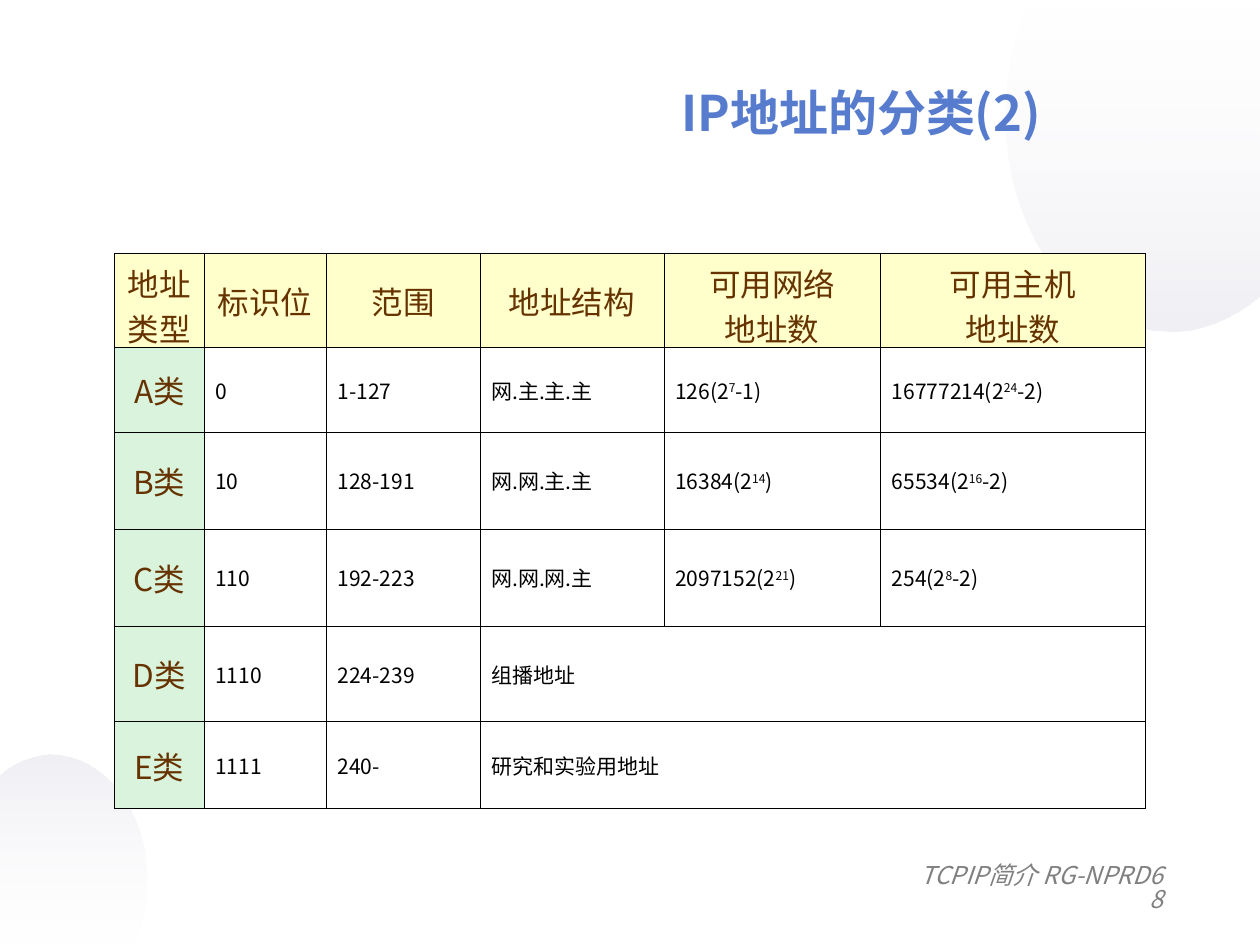
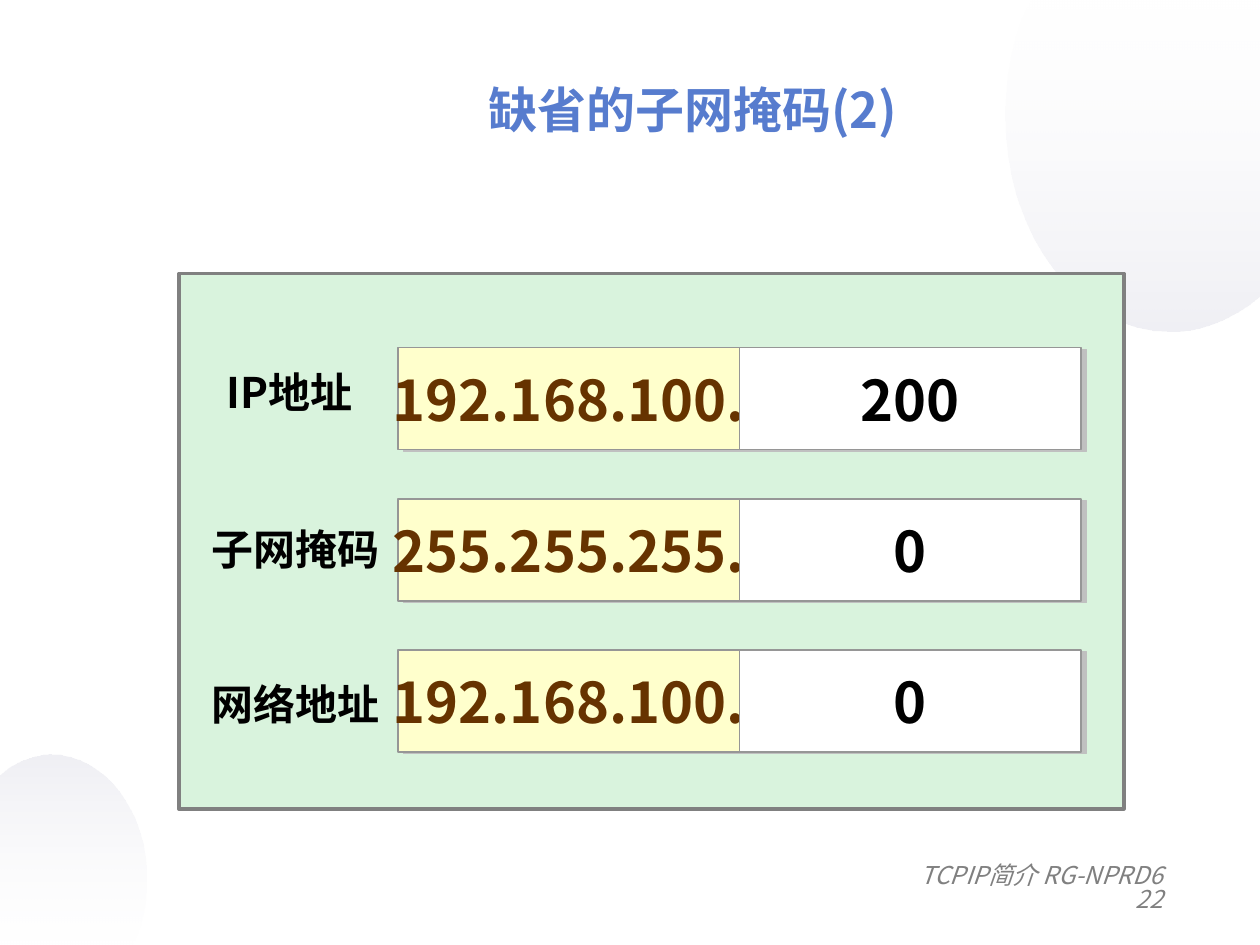
from pptx import Presentation
from pptx.dml.color import RGBColor
from pptx.enum.shapes import MSO_SHAPE
from pptx.enum.text import MSO_ANCHOR, PP_ALIGN
from pptx.oxml import parse_xml
from pptx.oxml.ns import nsdecls, qn
from pptx.util import Inches, Pt
from lxml import etree

RECTANGLE = MSO_SHAPE.RECTANGLE
MIDDLE, TOP = MSO_ANCHOR.MIDDLE, MSO_ANCHOR.TOP
LEFT, CENTER, RIGHT = PP_ALIGN.LEFT, PP_ALIGN.CENTER, PP_ALIGN.RIGHT

FONT = "Noto Sans CJK SC"
COLORS = {
    "title": "577CCE", "footer": "808080", "brown": "663300", "black": "000000",
    "white": "FFFFFF", "cream": "FFFFCC", "mint": "D9F3DD", "edge": "969696",
    "shadow": "C0C0C0", "haze": "BEBED2",
}

TOP_BUBBLE = [
    (8.19, 0), (10, 0), (10, 2.34), (9.9, 2.42),
    (9.71, 2.55, 9.5, 2.63, 9.28, 2.63),
    (8.56, 2.63, 7.98, 1.87, 7.98, 0.92),
    (7.98, 0.63, 8.03, 0.35, 8.13, 0.11),
]
BOTTOM_BUBBLE = [
    (1.04, 7.5), (0, 7.5), (0, 6.16), (0.06, 6.11),
    (0.16, 6.04, 0.29, 5.99, 0.41, 5.99),
    (0.82, 5.99, 1.16, 6.43, 1.16, 6.97),
    (1.16, 7.14, 1.13, 7.3, 1.07, 7.44),
]

COLUMN_WIDTHS = [0.71, 0.97, 1.22, 1.46, 1.72, 2.1]
ROW_HEIGHTS = [0.75, 0.67, 0.77, 0.77, 0.76, 0.69]
ADDRESS_CLASSES = [
    ["地址\n类型", "标识位", "范围", "地址结构", "可用网络\n地址数", "可用主机\n地址数"],
    ["A类", "0", "1-127", "网.主.主.主", "126(2^7^-1)", "16777214(2^24^-2)"],
    ["B类", "10", "128-191", "网.网.主.主", "16384(2^14^)", "65534(2^16^-2)"],
    ["C类", "110", "192-223", "网.网.网.主", "2097152(2^21^)", "254(2^8^-2)"],
    ["D类", "1110", "224-239", "组播地址"],
    ["E类", "1111", "240-", "研究和实验用地址"],
]
MASK_ROWS = [
    ("192.168.100.", "200"),
    ("255.255.255.", "0"),
    ("192.168.100.", "0"),
]


def color(name):
    return RGBColor.from_string(COLORS[name])


def outline_points(steps, samples=16):
    points = []
    for step in steps:
        if len(step) == 2:
            points.append(step)
            continue
        controls = [points[-1], step[:2], step[2:4], step[4:]]
        for index in range(1, samples + 1):
            t = index / samples
            weights = [(1 - t) ** 3, 3 * t * (1 - t) ** 2, 3 * t * t * (1 - t), t ** 3]
            points.append(tuple(
                sum(weight * control[axis] for weight, control in zip(weights, controls))
                for axis in (0, 1)))
    return [(Inches(x), Inches(y)) for x, y in points]


class SlideWriter:
    def __init__(self):
        self.deck = Presentation()
        self.deck.slide_width = Inches(10)
        self.deck.slide_height = Inches(7.5)
        self.page = None

    def start_page(self, number):
        self.page = self.deck.slides.add_slide(self.deck.slide_layouts[6])
        self.bubble(TOP_BUBBLE, 90)
        self.bubble(BOTTOM_BUBBLE, 270)
        footer = self.text(f"TCPIP简介 RG-NPRD6\n{number}", 0.75, 6.82, 8.58, 0.5,
                           14, "footer", RIGHT, anchor=TOP, italic=True)
        for para in footer.text_frame.paragraphs:
            para.line_spacing = 0.82

    def bubble(self, steps, angle):
        points = outline_points(steps)
        builder = self.page.shapes.build_freeform(*points[0])
        builder.add_line_segments(points[1:], close=True)
        shape = builder.convert_to_shape()
        shape.shadow.inherit = False
        shape.line.fill.background()
        shape.fill.background()
        stops = "".join(
            f'<a:gs pos="{position}"><a:srgbClr val="{COLORS[name]}">'
            f'<a:alpha val="{alpha}"/></a:srgbClr></a:gs>'
            for position, name, alpha in ((0, "white", 10000), (100000, "haze", 24000)))
        gradient = parse_xml(
            f'<a:gradFill {nsdecls("a")} rotWithShape="1"><a:gsLst>{stops}</a:gsLst>'
            f'<a:lin ang="{angle * 60000}" scaled="0"/></a:gradFill>')
        properties = shape._element.spPr
        properties.replace(properties.find(qn("a:noFill")), gradient)

    def add_lines(self, frame, text, size, ink, align, bold=False, italic=False):
        for index, line in enumerate(text.split("\n")):
            para = frame.add_paragraph() if index else frame.paragraphs[0]
            para.alignment = align
            for part, words in enumerate(line.split("^")):
                span = para.add_run()
                span.text = words
                span.font.size = Pt(size)
                span.font.bold = bold
                span.font.italic = italic
                span.font.color.rgb = color(ink)
                span.font.name = FONT
                properties = span._r.get_or_add_rPr()
                etree.SubElement(properties, qn("a:ea")).set("typeface", FONT)
                if part % 2:
                    properties.set("baseline", "30000")

    def text(self, text, left, top, width, height, size, ink, align,
             anchor=MIDDLE, inset_right=0.1, bold=False, italic=False):
        box = self.page.shapes.add_textbox(
            Inches(left), Inches(top), Inches(width), Inches(height))
        frame = box.text_frame
        frame.word_wrap = True
        frame.vertical_anchor = anchor
        frame.margin_right = Inches(inset_right)
        self.add_lines(frame, text, size, ink, align, bold, italic)
        return box

    def title(self, text, left, top, width, height):
        self.text(text, left, top, width, height, 28, "title", CENTER, bold=True)

    def label(self, text, left, top, width, height, align=RIGHT, inset_right=0.4):
        self.text(text, left, top, width, height, 24, "black", align,
                  inset_right=inset_right, bold=True)

    def rectangle(self, left, top, width, height, fill, edge, weight):
        shape = self.page.shapes.add_shape(
            RECTANGLE, Inches(left), Inches(top), Inches(width), Inches(height))
        shape.shadow.inherit = False
        shape.fill.solid()
        shape.fill.fore_color.rgb = color(fill)
        shape.line.color.rgb = color(edge)
        shape.line.width = Pt(weight)
        return shape

    def address_part(self, text, left, top, width, height, fill, ink):
        shape = self.rectangle(left, top, width, height, fill, "edge", 0.75)
        shape._element.spPr.find(qn("a:effectLst")).append(parse_xml(
            f'<a:outerShdw {nsdecls("a")} dist="{Pt(3.2)}" dir="{18 * 60000}" '
            f'algn="ctr" rotWithShape="0"><a:srgbClr val="{COLORS["shadow"]}"/></a:outerShdw>'))
        frame = shape.text_frame
        frame.word_wrap = False
        frame.vertical_anchor = MIDDLE
        self.add_lines(frame, text, 32, ink, CENTER, bold=True)

    def cell_style(self, cell, fill):
        properties = cell._tc.get_or_add_tcPr()
        for side in ("lnL", "lnR", "lnT", "lnB"):
            properties.append(parse_xml(
                f'<a:{side} {nsdecls("a")} w="{Pt(0.45)}"><a:solidFill>'
                f'<a:srgbClr val="{COLORS["black"]}"/></a:solidFill></a:{side}>'))
        cell.fill.solid()
        cell.fill.fore_color.rgb = color(fill)
        cell.vertical_anchor = MIDDLE
        cell.margin_left = cell.margin_right = Inches(0.09)
        cell.margin_top = cell.margin_bottom = Inches(0.05)

    def table(self, rows, left, top, widths, heights):
        table = self.page.shapes.add_table(
            len(heights), len(widths), Inches(left), Inches(top),
            Inches(sum(widths)), Inches(sum(heights))).table
        table.first_row = table.horz_banding = False
        for column, width in zip(table.columns, widths):
            column.width = Inches(width)
        for row, height in zip(table.rows, heights):
            row.height = Inches(height)
        last = len(widths) - 1
        for row_index, texts in enumerate(rows):
            for column_index in range(len(widths)):
                cell = table.cell(row_index, column_index)
                heading = row_index == 0 or column_index == 0
                fill = "cream" if row_index == 0 else "mint" if heading else "white"
                self.cell_style(cell, fill)
                if column_index < len(texts):
                    style = (18, "brown", CENTER) if heading else (12, "black", LEFT)
                    self.add_lines(cell.text_frame, texts[column_index], *style)
            if len(texts) <= last:
                table.cell(row_index, len(texts) - 1).merge(table.cell(row_index, last))


def address_classes(writer):
    writer.start_page(8)
    writer.title("IP地址的分类(2)", 3.67, 0.61, 6.33, 0.56)
    writer.table(ADDRESS_CLASSES, 0.91, 2.01, COLUMN_WIDTHS, ROW_HEIGHTS)


def default_masks(writer):
    writer.start_page(22)
    writer.rectangle(1.42, 2.17, 7.5, 4.25, "mint", "footer", 2)
    part_width, part_height = 2.71, 0.81
    for index, (network, host) in enumerate(MASK_ROWS):
        top = 2.76 + 1.2 * index
        writer.address_part(network, 3.16, top, part_width, part_height, "cream", "brown")
        writer.address_part(host, 3.16 + part_width, top, part_width, part_height,
                            "white", "black")
    writer.label("IP地址", 1.7, 2.82, 1.5, 0.58, LEFT, 0.1)
    writer.label("子网掩码", 1.33, 4.12, 2.08, 0.47)
    writer.label("网络地址", 1.24, 5.09, 2.17, 0.99)
    writer.title("缺省的子网掩码(2)", 1.33, 0.5, 8.34, 0.73)


def main():
    writer = SlideWriter()
    address_classes(writer)
    default_masks(writer)
    writer.deck.save("out.pptx")


if __name__ == "__main__":
    main()
